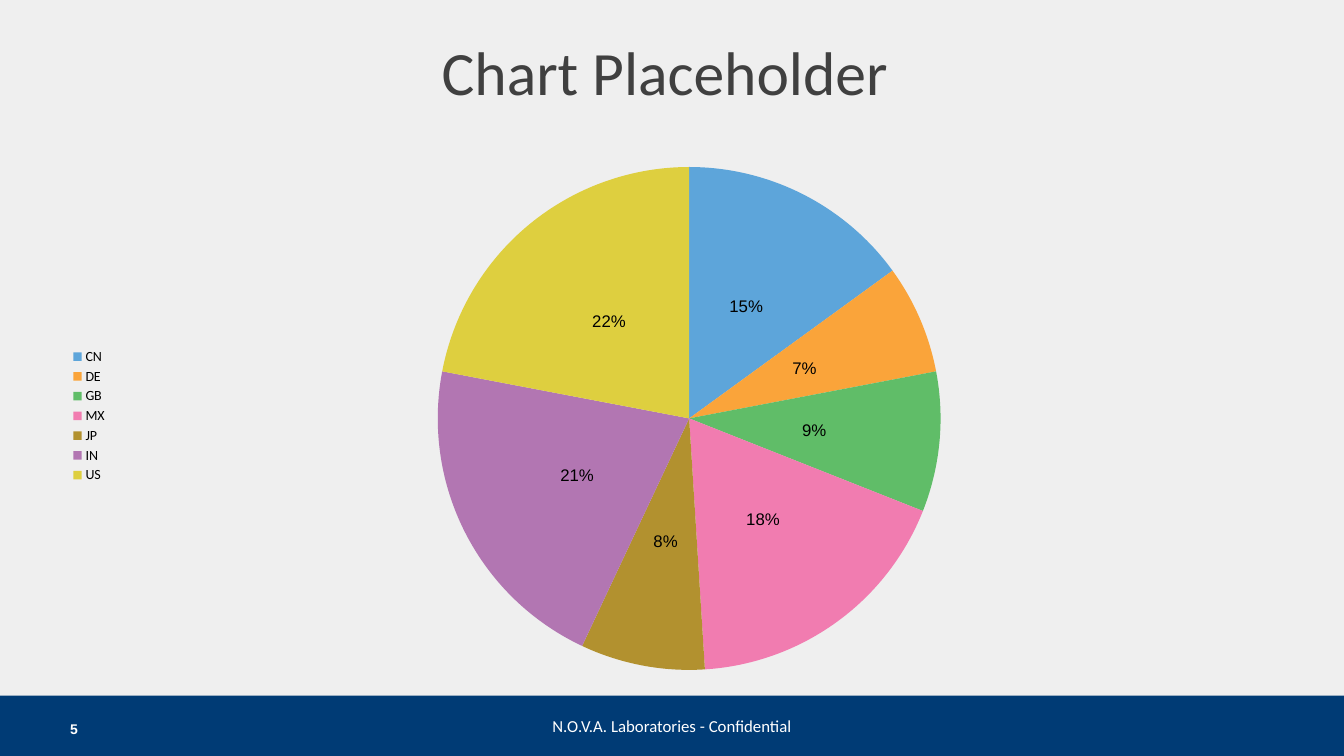
import pptx
import pptx.chart.data
import pptx.dml.color
import pptx.enum.chart
import pptx.enum.shapes
import pptx.enum.text
import pptx.oxml
import pptx.oxml.ns
import pptx.util

Cm = pptx.util.Cm
Pt = pptx.util.Pt
ALIGN = pptx.enum.text.PP_ALIGN
ANCHOR = pptx.enum.text.MSO_ANCHOR
COLORS = {"back": "EFEFEF", "bar": "003B75", "title": "404040", "white": "FFFFFF", "black": "000000"}
SHARES = {
    "CN": (15, "5DA5DA"),
    "DE": (7, "FAA43A"),
    "GB": (9, "60BD68"),
    "MX": (18, "F17CB0"),
    "JP": (8, "B2912F"),
    "IN": (21, "B276B2"),
    "US": (22, "DECF3F"),
}
PLOT = {"x": 0.31, "y": 0.03, "w": 0.42, "h": 0.95}


def rgb(code):
    """Turn a hex string into a colour."""
    return pptx.dml.color.RGBColor.from_string(code)


def apply(item, style):
    """Set every attribute named in a dict."""
    for name, value in style.items():
        setattr(item, name, value)


def style_font(font, size, color, name="Calibri", bold=False):
    """Format a font."""
    apply(font, {"size": Pt(size), "name": name, "bold": bold})
    font.color.rgb = rgb(color)


def write(shape, text, align, anchor, **font):
    """Fill a shape with one formatted paragraph."""
    frame = shape.text_frame
    apply(frame, {"text": text, "word_wrap": True, "vertical_anchor": anchor})
    line = frame.paragraphs[0]
    line.alignment = align
    style_font(line.runs[0].font, **font)


def add_title(slide, box):
    """Place the slide title."""
    title = slide.shapes.title
    apply(title, dict(zip(("left", "top", "width", "height"), box)))
    write(title, "Chart Placeholder", ALIGN.CENTER, ANCHOR.MIDDLE, size=44, color=COLORS["title"])
    sides = ("margin_left", "margin_top", "margin_right", "margin_bottom")
    apply(title.text_frame, dict.fromkeys(sides, 0))


def fix_plot(chart):
    """Pin the pie to its part of the chart area."""
    area = chart._chartSpace.chart.plotArea
    for old in area.findall(pptx.oxml.ns.qn("c:layout")):
        area.remove(old)
    marks = "".join(f'<c:{key} val="{value}"/>' for key, value in PLOT.items())
    area.insert(0, pptx.oxml.parse_xml(
        f'<c:layout {pptx.oxml.ns.nsdecls("c")}><c:manualLayout><c:layoutTarget val="inner"/>'
        f'<c:xMode val="edge"/><c:yMode val="edge"/>{marks}</c:manualLayout></c:layout>'))


def add_pie(slide, box):
    """Draw the pie chart with its legend and labels."""
    data = pptx.chart.data.CategoryChartData()
    data.categories = list(SHARES)
    data.add_series("Series 1", [value for value, code in SHARES.values()])
    chart = slide.shapes.add_chart(pptx.enum.chart.XL_CHART_TYPE.PIE, *box, data).chart
    apply(chart, {"has_title": False, "has_legend": True})
    style_font(chart.font, 10, COLORS["black"])
    apply(chart.legend, {
        "position": pptx.enum.chart.XL_LEGEND_POSITION.LEFT,
        "include_in_layout": False,
    })
    fix_plot(chart)

    plot = chart.plots[0]
    apply(plot, {"vary_by_categories": True, "has_data_labels": True})
    apply(plot.data_labels, {
        "show_percentage": True,
        "show_value": False,
        "show_category_name": False,
        "number_format": "0%",
        "number_format_is_linked": False,
        "position": pptx.enum.chart.XL_LABEL_POSITION.CENTER,
    })
    style_font(plot.data_labels.font, 12, COLORS["black"], "Arial")
    for index, (value, code) in enumerate(SHARES.values()):
        form = plot.series[0].points[index].format
        form.fill.solid()
        form.fill.fore_color.rgb = rgb(code)
        form.line.fill.background()


def add_footer(slide, box):
    """Draw the footer bar with its notice and the slide number."""
    left, top, width, height = box
    bar = slide.shapes.add_shape(pptx.enum.shapes.MSO_SHAPE.RECTANGLE, *box)
    bar.shadow.inherit = False
    bar.fill.solid()
    bar.fill.fore_color.rgb = rgb(COLORS["bar"])
    bar.line.fill.background()
    write(bar, "N.O.V.A. Laboratories - Confidential", ALIGN.CENTER, ANCHOR.MIDDLE,
          size=12, color=COLORS["white"])
    number = slide.shapes.add_textbox(left + Cm(1.52), top + Cm(0.5), Cm(2.2), Cm(0.84))
    write(number, "5", ALIGN.LEFT, ANCHOR.TOP,
          size=10, color=COLORS["white"], name="Arial", bold=True)


def main():
    """Build and save the slide."""
    deck = pptx.Presentation()
    apply(deck, {"slide_width": Cm(33.87), "slide_height": Cm(19.05)})
    slide = deck.slides.add_slide(deck.slide_layouts[5])
    slide.background.fill.solid()
    slide.background.fill.fore_color.rgb = rgb(COLORS["back"])
    add_footer(slide, (0, Cm(17.53), deck.slide_width, Cm(1.52)))
    add_title(slide, (Cm(1.52), Cm(0.51), Cm(30.48), Cm(2.54)))
    add_pie(slide, (Cm(1.52), Cm(3.81), Cm(30.48), Cm(13.34)))
    deck.save("out.pptx")


if __name__ == "__main__":
    main()
